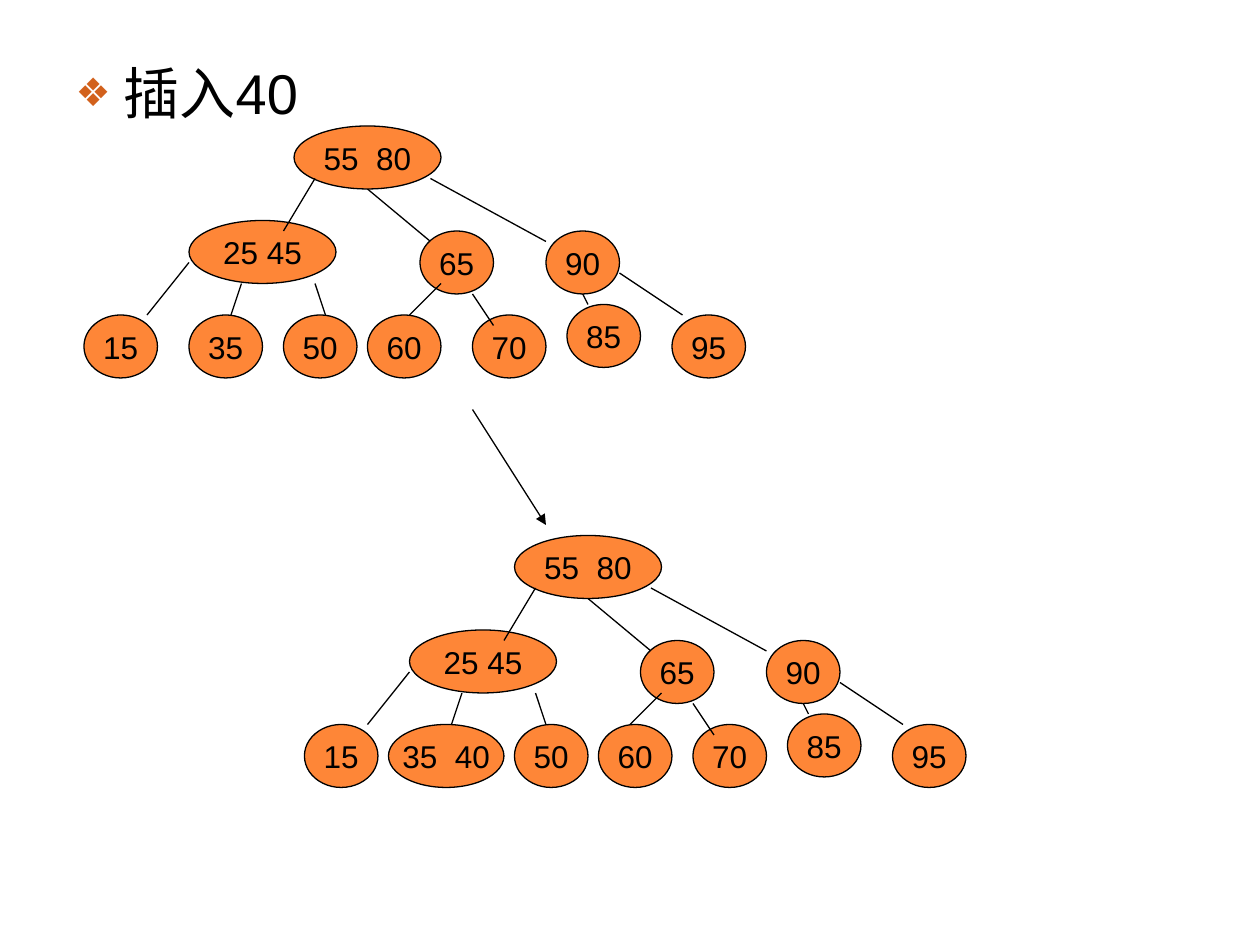
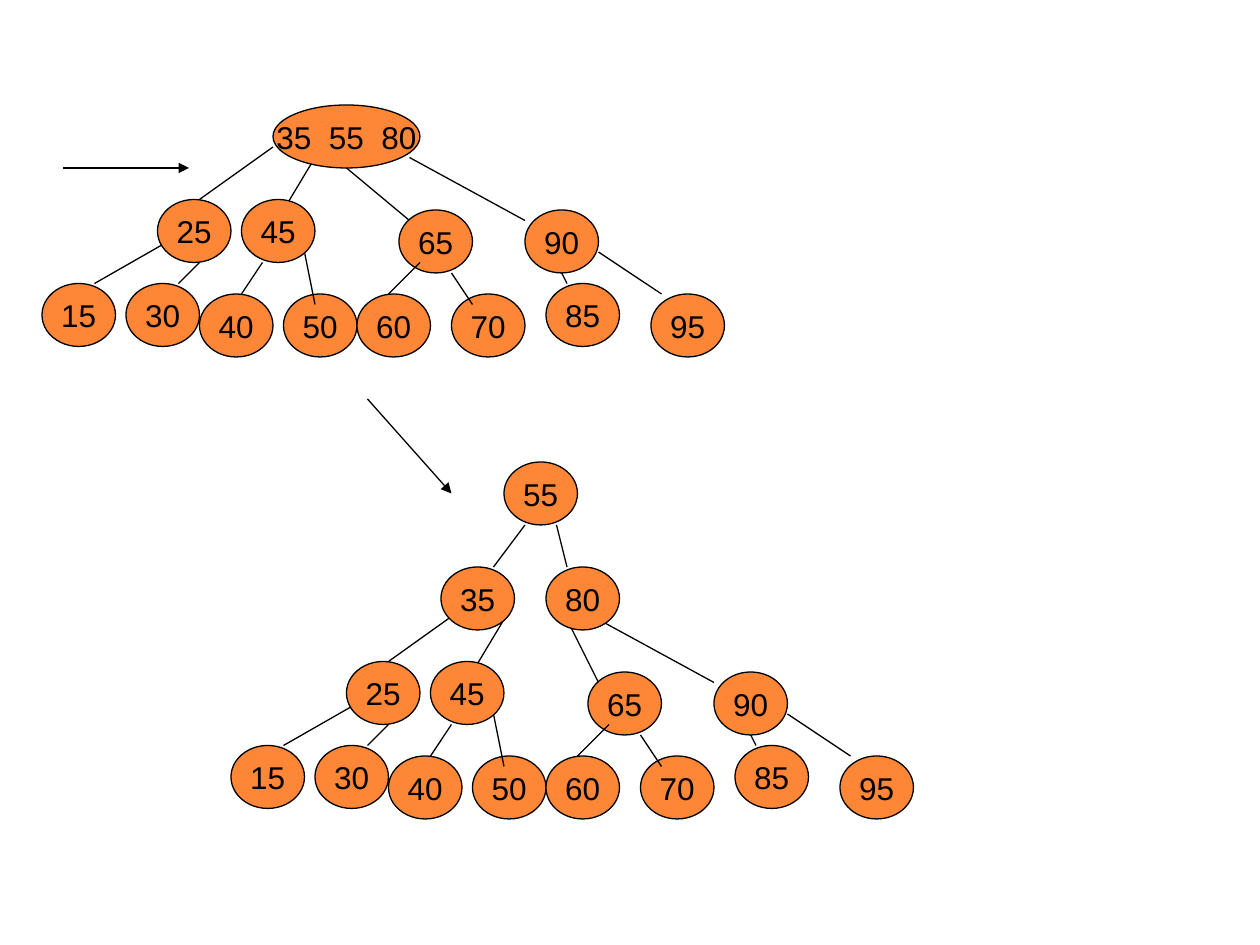
from lxml import etree
from pptx import Presentation
from pptx import util as u
from pptx.dml.color import RGBColor
from pptx.enum import shapes, text
from pptx.oxml.ns import qn

COLORS = {"node": "FE8637", "ink": "000000", "bullet": "D2611C"}
FONT = "Arial"
COLUMNS, ROWS = 120, 90  # slide grid
SLIDE_W, SLIDE_H = u.Inches(10), u.Inches(7.5)
KEY_W, PAIR_W, NODE_H = 7, 14, 6  # node sizes in cells

# Nodes are (keys, column, row, width) and edges (x1, y1, x2, y2), in cells
# counted from the top left corner of node 65, which every tree has.
RIGHT_LEAVES = [("85", 14, 7, KEY_W), ("95", 24, 8, KEY_W)]
RIGHT_PARENTS = [("90", 12, 0, KEY_W), ("65", 0, 0, KEY_W), ("70", 5, 8, KEY_W)]
RIGHT_EDGES = [(1, -5, 12, 1), (15, 5, 16, 7), (19, 4, 25, 8)]
FRONT_EDGES = [(2, 5, -1, 8), (5, 6, 7, 9)]
ROOT_TO_65 = (-5, -4, 1, 1)

# Left subtree whose parent holds two keys
PAIR_PARENT = ("25 45", -22, -1, PAIR_W)
PAIR_EDGES = [(-22, 3, -26, 8), (-10, 5, -9, 8), (-17, 5, -18, 8)]
PAIR_FRONT = [(-13, 0, -10, -5)]

# Left subtrees after the parent has been split
SPLIT_LEAVES = [("15", -34, 7, KEY_W), ("30", -26, 7, KEY_W),
                ("40", -19, 8, KEY_W), ("50", -11, 8, KEY_W)]
SPLIT_PARENTS = [("25", -23, -1, KEY_W), ("45", -15, -1, KEY_W)]
SPLIT_EDGES = [(-11, 0, -8, -5), (-19, -1, -12, -6), (-22, 3, -29, 7),
               (-9, 4, -8, 9), (-19, 5, -21, 7), (-13, 5, -15, 8)]


def col(cells):
    return round(SLIDE_W * cells / COLUMNS)


def row(cells):
    return round(SLIDE_H * cells / ROWS)


def rgb(name):
    return RGBColor.from_string(COLORS[name])


def write(frame, words, size=18, color="ink", align=None, anchor=None, wrap=True):
    frame.word_wrap = wrap
    frame.auto_size = text.MSO_AUTO_SIZE.NONE
    if anchor is not None:
        frame.vertical_anchor = anchor
    paragraph = frame.paragraphs[0]
    paragraph.alignment = align
    run = paragraph.add_run()
    run.text = words
    run.font.name, run.font.size = FONT, u.Pt(size)
    run.font.color.rgb = rgb(color)
    return paragraph


def draw_node(slide, origin, node):
    keys, x, y, width = node
    oval = slide.shapes.add_shape(
        shapes.MSO_SHAPE.OVAL, col(origin[0] + x), row(origin[1] + y),
        col(width), row(NODE_H))
    oval.shadow.inherit = False
    oval.fill.solid()
    oval.fill.fore_color.rgb = rgb("node")
    oval.line.color.rgb = rgb("ink")
    oval.line.width = u.Pt(0.75)
    write(oval.text_frame, keys, align=text.PP_ALIGN.CENTER,
          anchor=text.MSO_ANCHOR.MIDDLE, wrap=False)


def draw_line(slide, origin, ends, arrow=False):
    x1, y1, x2, y2 = ends
    left, top = origin
    line = slide.shapes.add_connector(
        shapes.MSO_CONNECTOR.STRAIGHT, col(left + x1), row(top + y1),
        col(left + x2), row(top + y2))
    line.line.color.rgb = rgb("ink")
    line.line.width = u.Pt(0.75)
    if arrow:
        etree.SubElement(line.line._get_or_add_ln(), qn("a:tailEnd"), type="triangle")
    etree.SubElement(line._element.spPr, qn("a:effectLst"))


def draw_tree(slide, origin, leaves, back_edges, parents, front_edges=(), x60=-4):
    """Draw one tree from back to front."""
    for node in leaves + RIGHT_LEAVES:
        draw_node(slide, origin, node)
    for edge in back_edges + RIGHT_EDGES:
        draw_line(slide, origin, edge)
    for node in RIGHT_PARENTS + [("60", x60, 8, KEY_W)] + parents:
        draw_node(slide, origin, node)
    for edge in FRONT_EDGES + list(front_edges):
        draw_line(slide, origin, edge)


def pair_tree(slide, origin, middle, x50, x60):
    leaves = [("15", -32, 8, KEY_W), PAIR_PARENT, middle, ("50", x50, 8, KEY_W)]
    draw_tree(slide, origin, leaves, PAIR_EDGES + [ROOT_TO_65],
              [("55  80", -12, -10, PAIR_W)], PAIR_FRONT, x60)


def split_tree(slide, origin, top_nodes, to_65, top_edges=()):
    draw_tree(slide, origin, SPLIT_LEAVES, SPLIT_EDGES + [to_65],
              SPLIT_PARENTS + top_nodes, top_edges)


def heading(slide, words, left, top, width, height):
    slide.shapes.title._element.getparent().remove(slide.shapes.title._element)
    body = slide.placeholders[1]
    body.left, body.top = col(left), row(top)
    body.width, body.height = col(width), row(height)
    paragraph = write(body.text_frame, words, size=32)
    paragraph.space_before = u.Pt(0)
    # Coloured diamond bullet with a hanging indent
    props = paragraph._p.get_or_add_pPr()
    props.set("marL", str(u.Inches(0.38)))
    props.set("indent", str(-u.Inches(0.38)))
    bullet_color = etree.SubElement(props, qn("a:buClr"))
    etree.SubElement(bullet_color, qn("a:srgbClr"), val=COLORS["bullet"])
    etree.SubElement(props, qn("a:buSzPct"), val="70000")
    etree.SubElement(props, qn("a:buFont"), typeface=FONT)
    etree.SubElement(props, qn("a:buChar"), char="❖")


def insert_40_slide(deck):
    slide = deck.slides.add_slide(deck.slide_layouts[1])
    heading(slide, "插入40", 6, 5, 108, 59.4)
    pair_tree(slide, (40, 22), ("35", -22, 8, KEY_W), x50=-13, x60=-5)
    pair_tree(slide, (61, 61), ("35  40", -24, 8, 11), x50=-12, x60=-4)
    draw_line(slide, (0, 0), (45, 39, 52, 50), arrow=True)


def split_slide(deck):
    slide = deck.slides.add_slide(deck.slide_layouts[6])
    # Overfull root
    split_tree(slide, (38, 20), [("35  55  80", -12, -10, PAIR_W)], ROOT_TO_65)
    # Root split into two levels
    split_tree(slide, (56, 64),
               [("35", -14, -10, KEY_W), ("80", -4, -10, KEY_W), ("55", -8, -20, KEY_W)],
               (-2, -5, 1, 1), [(-6, -14, -9, -10), (-3, -14, -2, -10)])
    for step in [(35, 38, 43, 47), (6, 16, 18, 16)]:
        draw_line(slide, (0, 0), step, arrow=True)


def main():
    deck = Presentation()
    deck.slide_width, deck.slide_height = SLIDE_W, SLIDE_H
    insert_40_slide(deck)
    split_slide(deck)
    deck.save("out.pptx")


if __name__ == "__main__":
    main()
